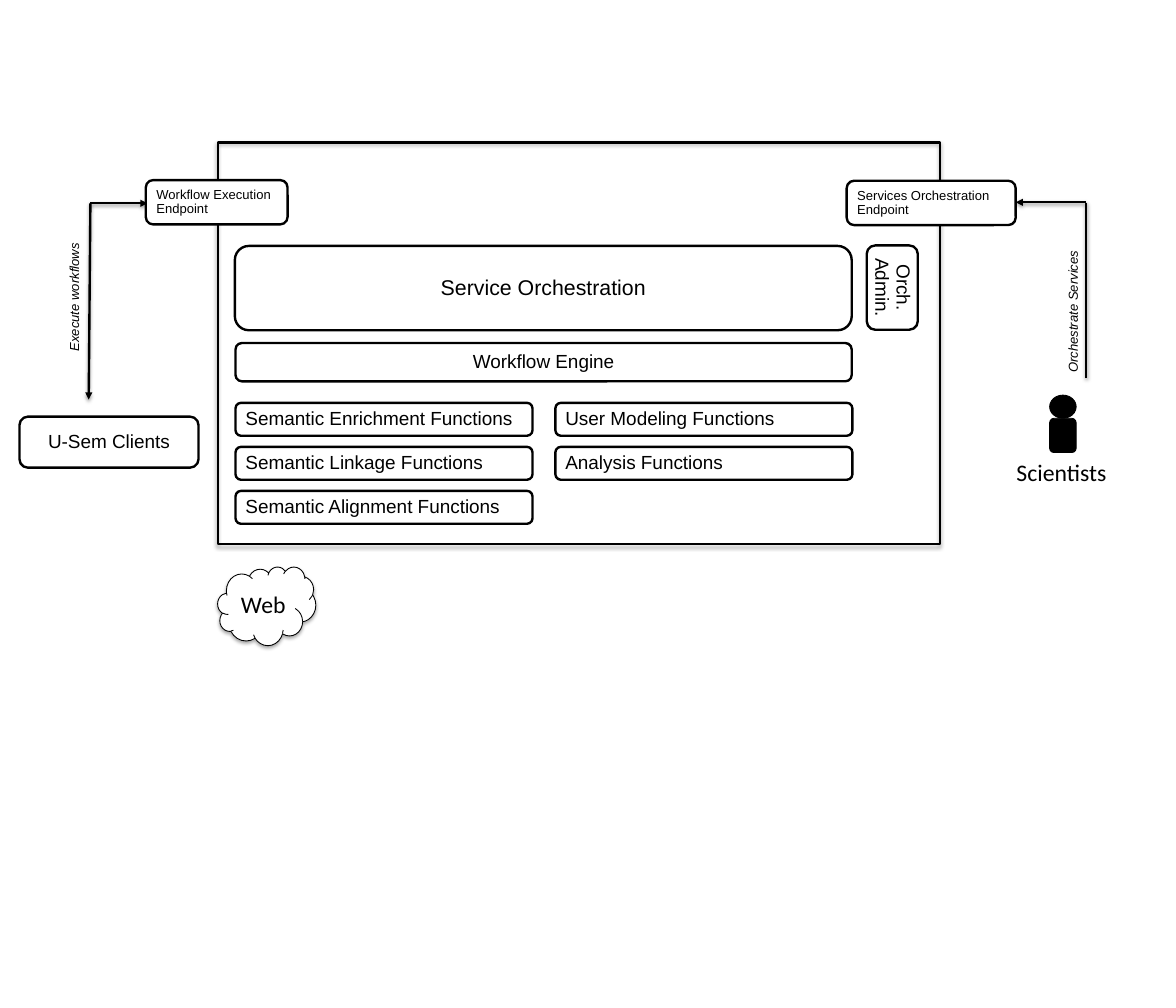
import pptx
import pptx.util
import pptx.dml.color
import pptx.enum.shapes
import pptx.enum.text
import pptx.oxml
import pptx.oxml.ns
import lxml.etree

Cm = pptx.util.Cm
Pt = pptx.util.Pt
KIND = pptx.enum.shapes.MSO_SHAPE
ALIGN = pptx.enum.text.PP_ALIGN
BLACK, WHITE = "000000", "FFFFFF"

LEFT, CENTER = ALIGN.LEFT, ALIGN.CENTER
BOXES = [
    ("Service Orchestration", (6.99, 7.32, 18.36, 2.51), 18, CENTER, 0),
    ("Workflow Engine", (7.01, 10.21, 18.34, 1.14), 16, CENTER, 0),
    ("Workflow Execution Endpoint", (4.34, 5.36, 4.22, 1.32), 11, LEFT, 0),
    ("Services Orchestration Endpoint", (25.2, 5.38, 5.03, 1.32), 11, LEFT, 0),
    ("U-Sem Clients", (0.58, 12.4, 5.33, 1.52), 16, CENTER, 0),
    ("Orch. Admin.", (25.3, 7.8, 2.51, 1.52), 16, CENTER, 90),
]
FUNCTION_COLUMNS = [
    ["Semantic Enrichment Functions", "Semantic Linkage Functions", "Semantic Alignment Functions"],
    ["User Modeling Functions", "Analysis Functions"],
]
FUNCTION_LEFT, FUNCTION_TOP = 7.01, 11.99
FUNCTION_WIDTH, FUNCTION_HEIGHT = 8.84, 0.98
COLUMN_STEP, ROW_STEP = 9.52, 1.31
ARROWS = [
    ((2.69, 6.05), (4.39, 6.05), True),
    ((2.69, 6.05), (2.64, 11.89), True),
    ((32.33, 6.02), (30.23, 6.02), True),
    ((32.33, 11.25), (32.33, 6.05), False),
]
LABELS = [
    ("Execute workflows", (0.33, 8.46, 3.76, 0.74)),
    ("Orchestrate Services", (29.85, 8.89, 4.17, 0.74)),
]


def color(value):
    return pptx.dml.color.RGBColor.from_string(value)


def add_shadow(shape, opacity, distance):
    properties = shape._element.spPr
    effects = properties.find(pptx.oxml.ns.qn("a:effectLst"))
    if effects is None:
        effects = lxml.etree.SubElement(properties, pptx.oxml.ns.qn("a:effectLst"))
    effects.append(pptx.oxml.parse_xml(
        f'<a:outerShdw {pptx.oxml.ns.nsdecls("a")} blurRad="{Pt(3.1)}" dist="{Pt(distance)}" '
        f'dir="5400000" rotWithShape="0"><a:srgbClr val="{BLACK}">'
        f'<a:alpha val="{opacity * 1000}"/></a:srgbClr></a:outerShdw>'))


def write(shape, text, size, align=CENTER, font="Arial", spacing=None, italic=None, wrap=True):
    shape.text_frame.word_wrap = wrap
    paragraph = shape.text_frame.paragraphs[0]
    paragraph.alignment = align
    paragraph.line_spacing = spacing
    run = paragraph.add_run()
    run.text = text
    run.font.color.rgb = color(BLACK)
    for name, value in {"size": Pt(size), "name": font, "italic": italic}.items():
        setattr(run.font, name, value)


def add_shape(shapes, kind, place, fill=WHITE, line_width=2):
    shape = shapes.add_shape(kind, *map(Cm, place))
    shape.shadow.inherit = False
    if fill:
        shape.fill.solid()
        shape.fill.fore_color.rgb = color(fill)
    else:
        shape.fill.background()
    shape.line.color.rgb = color(BLACK)
    shape.line.width = Pt(line_width)
    return shape


def add_box(text, place, size, align, rotation):
    box = add_shape(slide.shapes, KIND.ROUNDED_RECTANGLE, place)
    box.rotation = rotation
    write(box, text, size, align, spacing=0.93)


def add_arrow(start, end, pointed):
    arrow = slide.shapes.add_connector(
        pptx.enum.shapes.MSO_CONNECTOR.STRAIGHT, *map(Cm, start + end))
    arrow.line.color.rgb = color(BLACK)
    arrow.line.width = Pt(2)
    if pointed:
        line = arrow.line._get_or_add_ln()
        lxml.etree.SubElement(line, pptx.oxml.ns.qn("a:tailEnd"), type="triangle")
    add_shadow(arrow, 38, 1.6)


presentation = pptx.Presentation()
presentation.slide_width, presentation.slide_height = Cm(35), Cm(30)
slide = presentation.slides.add_slide(presentation.slide_layouts[6])

frame = add_shape(slide.shapes, KIND.RECTANGLE, (6.48, 4.24, 21.49, 11.96), fill=None)
add_shadow(frame, 35, 1.8)
cloud = add_shape(slide.shapes, KIND.CLOUD, (6.48, 16.87, 2.92, 2.34), line_width=0.75)
add_shadow(cloud, 35, 1.8)
write(cloud, "Web", 20, font="Calibri")

for arrow in ARROWS:
    add_arrow(*arrow)
for box in BOXES:
    add_box(*box)
for column, names in enumerate(FUNCTION_COLUMNS):
    for row, name in enumerate(names):
        place = (FUNCTION_LEFT + column * COLUMN_STEP, FUNCTION_TOP + row * ROW_STEP,
                 FUNCTION_WIDTH, FUNCTION_HEIGHT)
        add_box(name, place, 16, LEFT, 0)

for text, place in LABELS:
    label = slide.shapes.add_textbox(*map(Cm, place))
    label.rotation = 270
    write(label, text, 11, LEFT, italic=True, wrap=False)

scientist = slide.shapes.add_group_shape()
add_shape(scientist.shapes, KIND.OVAL, (31.24, 11.76, 0.79, 0.69), BLACK, 0.74)
add_shape(scientist.shapes, KIND.ROUNDED_RECTANGLE, (31.24, 12.45, 0.79, 1.02), BLACK, 0.74)
caption = scientist.shapes.add_textbox(*map(Cm, (29.95, 13.49, 3.28, 1.12)))
write(caption, "Scientists", 20, font="Calibri")

presentation.save("out.pptx")
